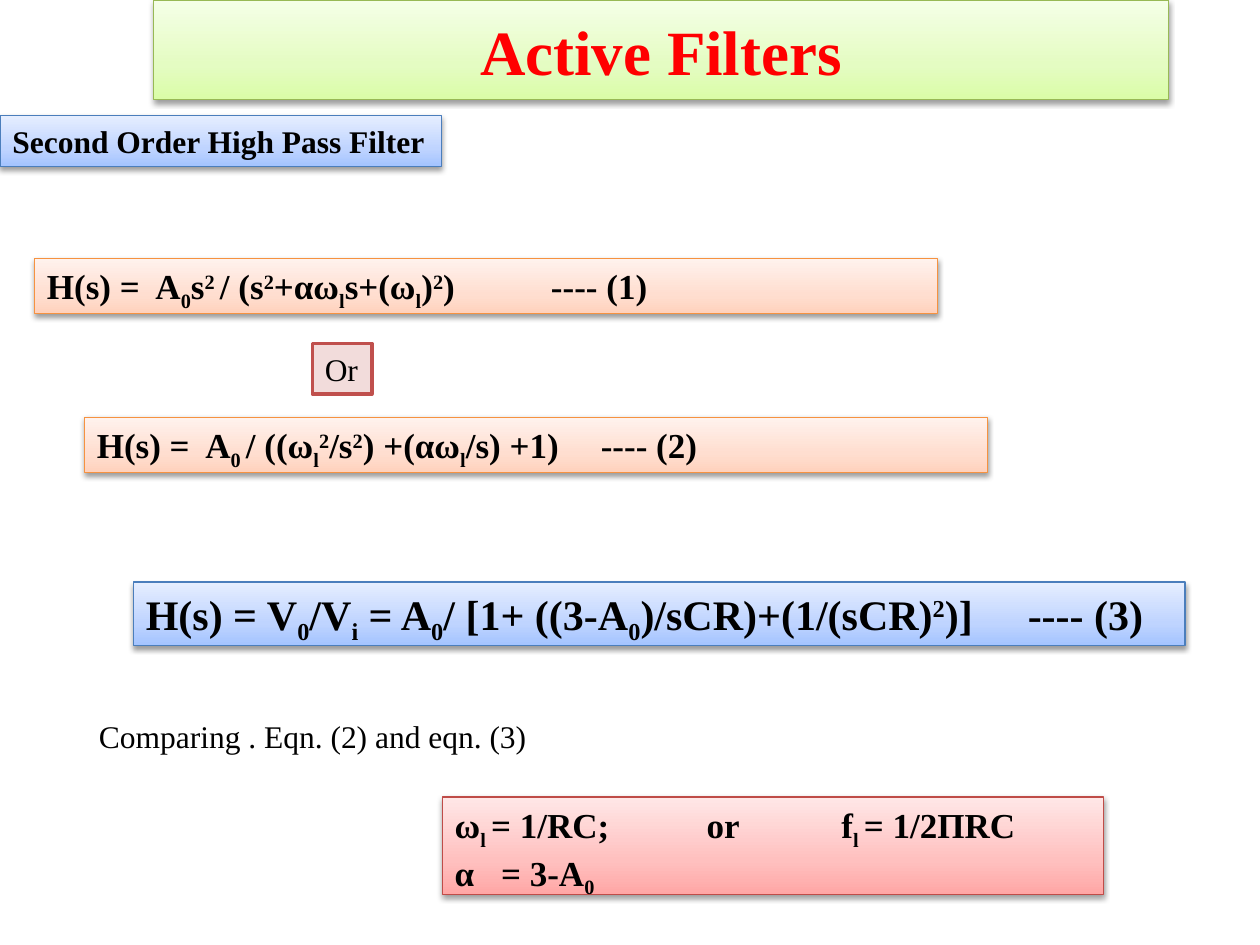
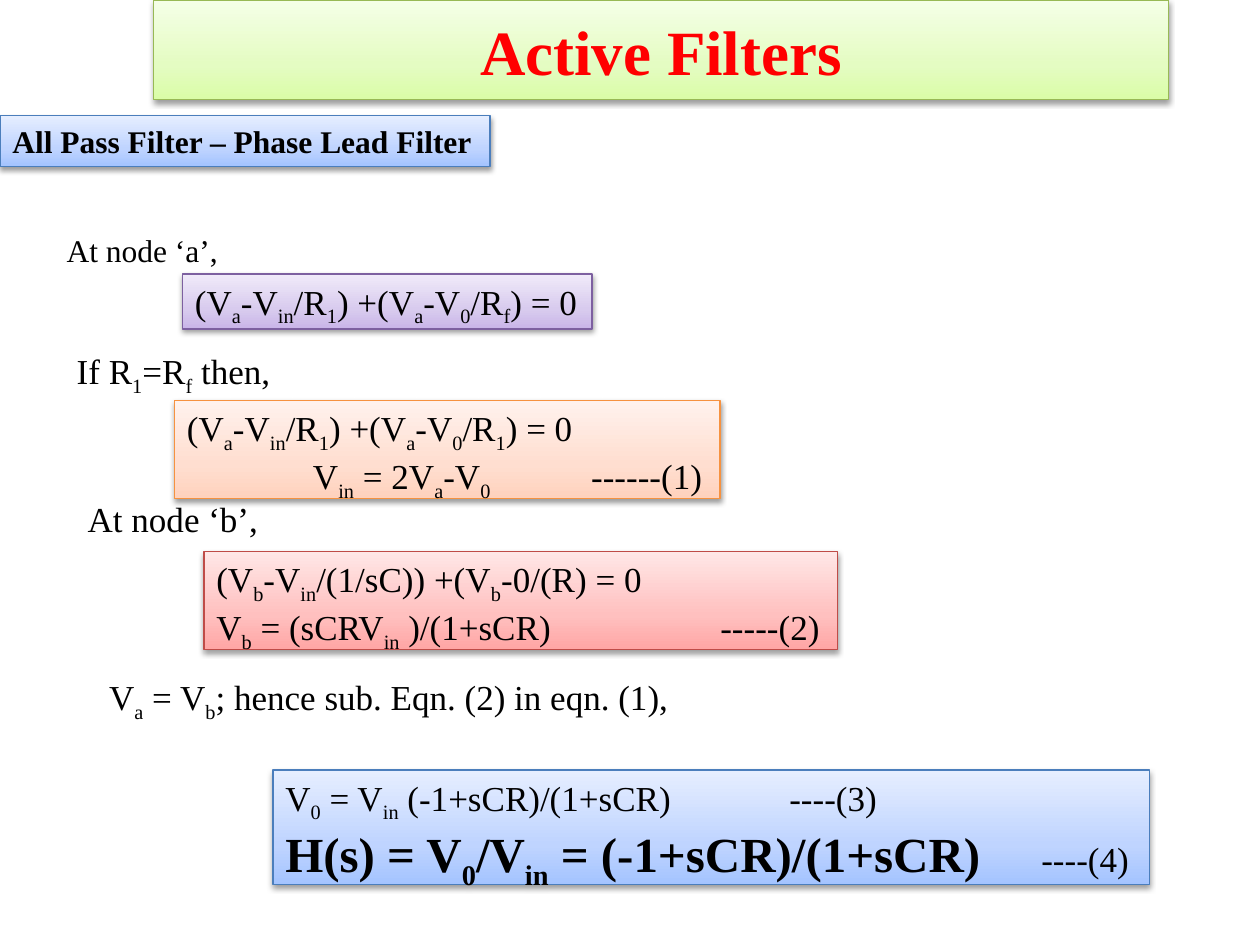
from copy import deepcopy
from dataclasses import dataclass

from lxml import etree
from pptx import Presentation
from pptx.dml.color import RGBColor
from pptx.enum import shapes, text
from pptx.oxml import ns
from pptx.util import Pt

FONT = "Times New Roman"
COLORS = {
    "ink": "000000",
    "title": "FF0000",
    "or_fill": "F2DCDB",
    "or_line": "C0504D",
}
TINTS = {
    "green": {"line": "98B955", "stops": ("DAFDA7", "E4FCC2", "F5FFE7")},
    "blue": {"line": "4B7EBC", "stops": ("A4C4FF", "BFD4FF", "E6EEFF")},
    "orange": {"line": "F69240", "stops": ("FFD2BD", "FFDED0", "FFF2ED")},
    "red": {"line": "BF4C48", "stops": ("FFA6A5", "FFC0BF", "FFE7E7")},
    "purple": {"line": "7D60A0", "stops": ("C9B5E8", "D8CBEE", "F0EAF9")},
}
STOP_POSITIONS = (0, 0.35, 1)
BASELINES = {"_": "-25000", "^": "30000"}


@dataclass
class Box:
    left: float
    top: float
    width: float
    height: float

    def inner(self, dx, dy, width, height):
        return Box(self.left + dx, self.top + dy, width, height)

    def lengths(self):
        return [Pt(v) for v in (self.left, self.top, self.width, self.height)]


@dataclass
class Line:
    markup: str
    size: float = 20
    bold: bool = False
    tabs: tuple = ()
    label: str = ""


def rgb(hex_color):
    return RGBColor.from_string(hex_color)


def add_span(paragraph, words, size, bold, color, baseline=None):
    if not words:
        return
    span = paragraph.add_run()
    span.text = words
    span.font.name = FONT
    span.font.size = Pt(size)
    span.font.bold = bold
    span.font.color.rgb = rgb(color)
    if baseline:
        span._r.get_or_add_rPr().set("baseline", baseline)


def set_tabs(paragraph, positions):
    tab_list = etree.SubElement(paragraph._p.get_or_add_pPr(), ns.qn("a:tabLst"))
    for position in positions:
        etree.SubElement(tab_list, ns.qn("a:tab"), pos=str(Pt(position)), algn="l")


def write_line(paragraph, line, color):
    if line.tabs:
        set_tabs(paragraph, line.tabs)
    for piece in line.markup.split("}"):
        base, brace, script = piece.partition("{")
        mark = base[-1] if brace else ""
        base = base[:-1] if brace else base
        add_span(paragraph, base, line.size, line.bold, color)
        add_span(paragraph, script, line.size, line.bold, color, BASELINES.get(mark))
    add_span(paragraph, line.label, 20, False, color)


def write(shape, lines, color=COLORS["ink"]):
    frame = shape.text_frame
    frame.word_wrap = True
    frame.margin_right = 0
    frame.vertical_anchor = text.MSO_ANCHOR.TOP
    for index, line in enumerate(lines):
        paragraph = frame.add_paragraph() if index else frame.paragraphs[0]
        paragraph.alignment = text.PP_ALIGN.LEFT
        write_line(paragraph, line, color)


def add_rectangle(slide, box, line_color, line_width):
    rectangle = slide.shapes.add_shape(shapes.MSO_SHAPE.RECTANGLE, *box.lengths())
    rectangle.shadow.inherit = False
    rectangle.line.color.rgb = rgb(line_color)
    rectangle.line.width = Pt(line_width)
    return rectangle


def apply_gradient(rectangle, stops):
    rectangle.fill.gradient()
    rectangle.fill.gradient_angle = 90
    stop_list = next(rectangle._element.spPr.iter(ns.qn("a:gsLst")))
    stop_list.append(deepcopy(stop_list[-1]))
    for stop, position, color in zip(rectangle.fill.gradient_stops, STOP_POSITIONS, stops):
        stop.position = position
        stop.color.rgb = rgb(color)


def apply_shadow(rectangle):
    effects = rectangle._element.spPr.find(ns.qn("a:effectLst"))
    shadow = etree.SubElement(
        effects, ns.qn("a:outerShdw"),
        blurRad="40000", dist="20000", dir="5400000", rotWithShape="0",
    )
    black = etree.SubElement(shadow, ns.qn("a:srgbClr"), val=COLORS["ink"])
    etree.SubElement(black, ns.qn("a:alpha"), val="38000")


def add_panel(slide, box, tint, *lines, color=COLORS["ink"]):
    panel = add_rectangle(slide, box, TINTS[tint]["line"], 0.75)
    apply_gradient(panel, TINTS[tint]["stops"])
    apply_shadow(panel)
    write(panel, lines, color)
    return panel


def add_remark(slide, box, line):
    write(slide.shapes.add_textbox(*box.lengths()), [line])


def add_heading(slide, box, topic, topic_width):
    title = add_panel(slide, box.inner(87.75, 0, 580, 57), "green",
                      Line("Active Filters", 36, True), color=COLORS["title"])
    title.text_frame.margin_right = title.text_frame.margin_left
    title.text_frame.vertical_anchor = text.MSO_ANCHOR.MIDDLE
    title.text_frame.paragraphs[0].alignment = text.PP_ALIGN.CENTER
    add_panel(slide, box.inner(0, 66, topic_width, 29), "blue", Line(topic, 18, True))


def add_high_pass(slide, box):
    add_panel(slide, box.inner(19.75, 51.75, 516, 31.5), "orange",
              Line("H(s) =\tA_{0}s^{2 }/ (s^{2}+αω_{l}s+(ω_{l})^{2})\t---- (1)",
                   bold=True, tabs=(62, 288)))
    alternative = add_rectangle(slide, box.inner(178.5, 100.25, 34, 29),
                                COLORS["or_line"], 2)
    alternative.fill.solid()
    alternative.fill.fore_color.rgb = rgb(COLORS["or_fill"])
    write(alternative, [Line("Or", 18)])
    add_panel(slide, box.inner(48.25, 142.5, 516, 31.5), "orange",
              Line("H(s) =\tA_{0 }/ ((ω_{l}^{2}/s^{2}) +(αω_{l}/s) +1)\t---- (2)",
                   bold=True, tabs=(62, 288)))
    add_panel(slide, box.inner(76.25, 236.5, 601, 36.25), "blue",
              Line("H(s) = V_{0}/V_{i} = A_{0}/ [1+ ((3-A_{0})/sCR)+(1/(sCR)^{2})]\t---- (3)",
                   24, True, (504,)))
    add_remark(slide, box.inner(49.5, 310, 261, 29),
               Line("Comparing . Eqn. (2) and eqn. (3)", 18))
    add_panel(slide, box.inner(252.75, 359.5, 378, 55.75), "red",
              Line("ω_{l }= 1/RC;\tor\tf_{l }= 1/2ΠRC", bold=True, tabs=(144, 221)),
              Line("α\t= 3-A_{0}", bold=True, tabs=(26.5,)))


def add_all_pass(slide, box):
    add_remark(slide, box.inner(31, 32.25, 102, 29), Line("At node ‘a’,", 18))
    add_panel(slide, box.inner(104.25, 60.5, 234, 31.5), "purple",
              Line("(V_{a}-V_{in}/R_{1}) +(V_{a}-V_{0}/R_{f}) = 0"))
    add_remark(slide, box.inner(36.75, 100.25, 132, 31.5),
               Line("If R_{1}=R_{f} then,"))
    add_panel(slide, box.inner(99.75, 133, 311.75, 55.75), "orange",
              Line("(V_{a}-V_{in}/R_{1}) +(V_{a}-V_{0}/R_{1}) = 0"),
              Line("\tV_{in} = 2V_{a}-V_{0}\t------(1)", tabs=(72, 231)))
    add_remark(slide, box.inner(43, 185, 112, 31.5), Line("At node ‘b’,"))
    add_panel(slide, box.inner(116.5, 219.25, 362, 55.75), "red",
              Line("(V_{b}-V_{in}/(1/sC)) +(V_{b}-0/(R) = 0"),
              Line("V_{b} = (sCRV_{in} )/(1+sCR)\t-----(2)", tabs=(288,)))
    add_remark(slide, box.inner(55.25, 286.5, 336, 31.5),
               Line("V_{a} = V_{b}; hence sub. Eqn. (2) in eqn. (1),"))
    add_panel(slide, box.inner(156, 344, 501, 65.5), "blue",
              Line("V_{0} = V_{in} (-1+sCR)/(1+sCR)\t----(3)", tabs=(288,)),
              Line("H(s) = V_{0}/V_{in} = (-1+sCR)/(1+sCR)", 28, True, (432,),
                   "\t----(4)"))


def main():
    deck = Presentation()
    deck.slide_width, deck.slide_height = Pt(720), Pt(540)
    heading = Box(0, 0, 720, 96)
    derivation = Box(0, 96, 720, 444)
    for topic, topic_width, add_derivation in (
        ("Second Order High Pass Filter", 252.5, add_high_pass),
        ("All Pass Filter – Phase Lead Filter", 280, add_all_pass),
    ):
        slide = deck.slides.add_slide(deck.slide_layouts[6])
        add_heading(slide, heading, topic, topic_width)
        add_derivation(slide, derivation)
    deck.save("out.pptx")


if __name__ == "__main__":
    main()
